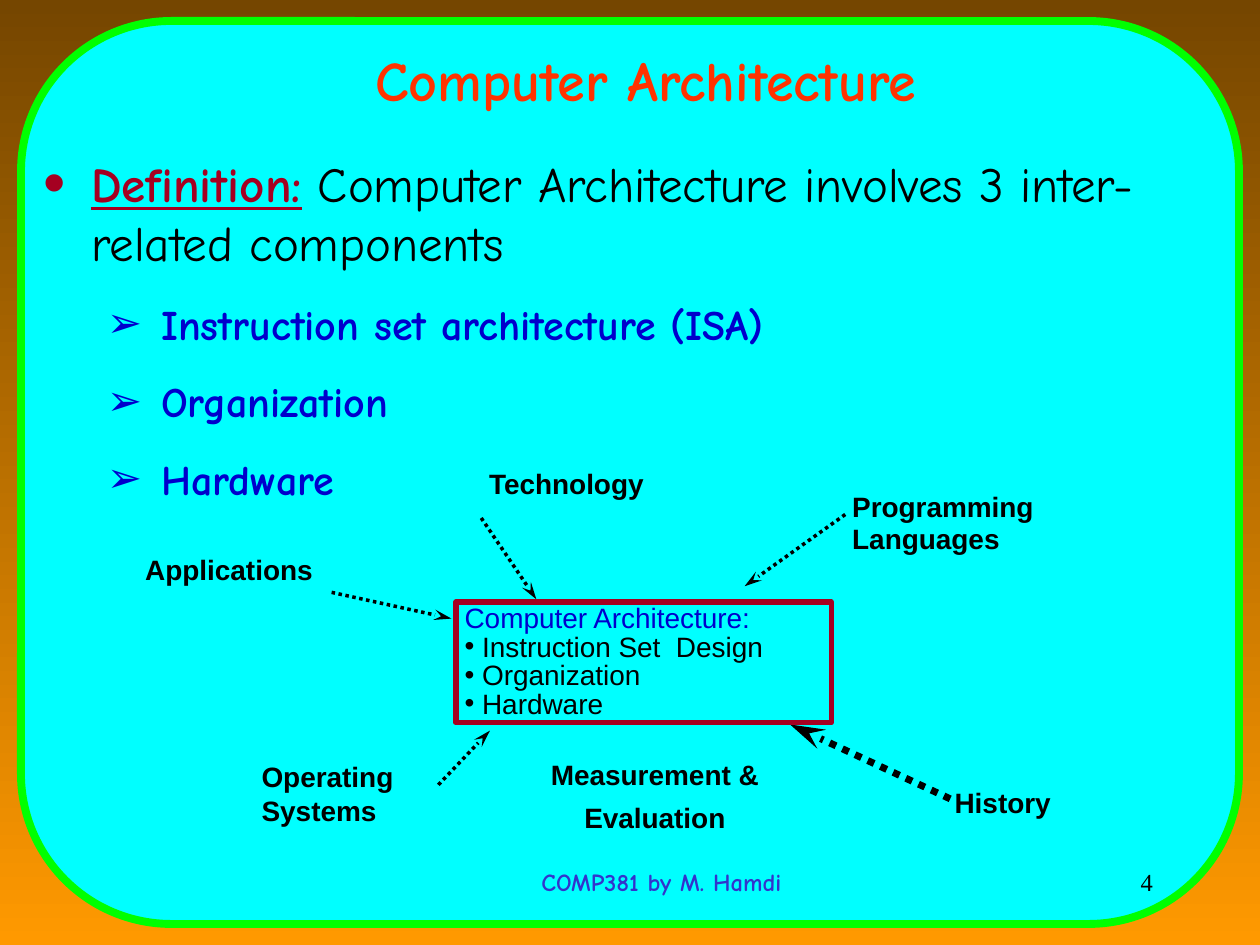
"""Build the Computer Architecture definition slide."""
from lxml import etree
from pptx import Presentation
from pptx.dml.color import RGBColor
from pptx.enum.dml import MSO_LINE
from pptx.enum.shapes import MSO_CONNECTOR, MSO_SHAPE
from pptx.enum.text import MSO_ANCHOR, MSO_AUTO_SIZE, PP_ALIGN
from pptx.oxml.ns import qn
from pptx.util import Pt

LEFT, CENTER, RIGHT = PP_ALIGN.LEFT, PP_ALIGN.CENTER, PP_ALIGN.RIGHT
TOP, MIDDLE = MSO_ANCHOR.TOP, MSO_ANCHOR.MIDDLE
FIT_SHAPE, FIXED = MSO_AUTO_SIZE.SHAPE_TO_FIT_TEXT, MSO_AUTO_SIZE.NONE
STRAIGHT, DOTTED = MSO_CONNECTOR.STRAIGHT, MSO_LINE.ROUND_DOT
PANEL, RECTANGLE = MSO_SHAPE.FLOWCHART_ALTERNATE_PROCESS, MSO_SHAPE.RECTANGLE

BROWN = RGBColor(0x75, 0x46, 0x00)
ORANGE = RGBColor(0xFF, 0x99, 0x00)
CYAN = RGBColor(0x00, 0xFF, 0xFF)
GREEN = RGBColor(0x00, 0xFF, 0x00)
RED = RGBColor(0xFF, 0x33, 0x00)
CRIMSON = RGBColor(0xA5, 0x00, 0x21)
BLUE = RGBColor(0x00, 0x00, 0xCC)
INDIGO = RGBColor(0x33, 0x33, 0xCC)
BLACK = RGBColor(0x00, 0x00, 0x00)

COMIC, ARIAL, TIMES = "Comic Neue", "Arial", "Times New Roman"
WIDE_INSETS, NARROW_INSETS = (7.2, 3.6), (5, 2.2)

TITLE = "Computer Architecture"
FOOTER = "COMP381 by M. Hamdi"
PAGE_NUMBER = "4"
TERM = "Definition:"
DEFINITION = " Computer Architecture involves 3 inter-related components"
COMPONENTS = ["Instruction set architecture (ISA)", "Organization", "Hardware"]
CORE_HEADING = "Computer Architecture:"
CORE_ITEMS = ["Instruction Set  Design", "Organization", "Hardware"]
MEASUREMENT = ["Measurement &", "Evaluation"]
LABELS = [
    ("Technology", 274.5, 264, 99, 1.02),
    ("Programming", 482, 277, 114, 1.02),
    ("Languages", 482, 295.5, 95, 1.02),
    ("Operating", 144.5, 431.5, 86, 1.02),
    ("Systems", 144.5, 451, 76, 1.02),
    ("History", 540.5, 448, 65, 0.97),
    ("Applications", 78, 313, 106, 1.02),
]
ARROWS = [
    ((189.5, 338.5), (258, 353.5), 2),
    ((250.5, 448.5), (280, 417.5), 2),
    ((275, 296), (306.5, 342.5), 2),
    ((483, 294), (425.5, 335), 2),
    ((543, 456.5), (451.5, 414), 4),
]


def set_frame(box, insets, anchor=TOP, wrap=True):
    frame = box.text_frame
    frame.word_wrap = wrap
    frame.auto_size = FIXED if wrap else FIT_SHAPE
    frame.vertical_anchor = anchor
    frame.margin_left = frame.margin_right = Pt(insets[0])
    frame.margin_top = frame.margin_bottom = Pt(insets[1])
    return frame


def add_box(page, place, insets, **options):
    box = page.shapes.add_textbox(*map(Pt, place))
    return set_frame(box, insets, **options)


def add_para(frame, align=LEFT, before=0, spacing=1.0):
    first = frame.paragraphs[0]
    is_first = not first.runs
    para = first if is_first else frame.add_paragraph()
    para.alignment = align
    para.line_spacing = spacing
    para.space_before = Pt(0 if is_first else before)
    return para


def add_span(para, text, font, size, color, bold=False, underline=False):
    span = para.add_run()
    span.text = text
    span.font.name = font
    span.font.size = Pt(size)
    span.font.color.rgb = color
    span.font.bold = bold
    span.font.underline = underline


def add_bullet(para, symbol, color, margin, hang, percent=100):
    properties = para._p.get_or_add_pPr()
    properties.set("marL", str(Pt(margin)))
    properties.set("indent", str(-Pt(hang)))
    tint = etree.SubElement(properties, qn("a:buClr"))
    etree.SubElement(tint, qn("a:srgbClr"), val=str(color))
    etree.SubElement(properties, qn("a:buSzPct"), val=str(percent * 1000))
    etree.SubElement(properties, qn("a:buFont"), typeface=ARIAL)
    etree.SubElement(properties, qn("a:buChar"), char=symbol)


def add_shape(page, kind, place, line_color, line_width, fill=None):
    shape = page.shapes.add_shape(kind, *map(Pt, place))
    shape.shadow.inherit = False
    if fill is None:
        shape.fill.background()
    else:
        shape.fill.solid()
        shape.fill.fore_color.rgb = fill
    shape.line.color.rgb = line_color
    shape.line.width = Pt(line_width)
    return shape


def add_arrow(page, start, end, width):
    arrow = page.shapes.add_connector(STRAIGHT, *map(Pt, start + end))
    arrow.line.color.rgb = BLACK
    arrow.line.width = Pt(width)
    arrow.line.dash_style = DOTTED
    outline = arrow.line._get_or_add_ln()
    etree.SubElement(outline, qn("a:tailEnd"), type="stealth", w="med", len="lg")
    etree.SubElement(arrow._element.spPr, qn("a:effectLst"))


def add_backdrop(page):
    fill = page.background.fill
    fill.gradient()
    fill.gradient_angle = 270
    for stop, color in zip(fill.gradient_stops, (BROWN, ORANGE)):
        stop.color.rgb = color
    add_shape(page, PANEL, (12, 12, 696, 516), GREEN, 4.5, CYAN)


def add_text(page):
    footer = add_box(page, (264, 492, 228, 36), WIDE_INSETS)
    add_span(add_para(footer, CENTER), FOOTER, COMIC, 14, INDIGO, True)
    title = add_box(page, (30, 24, 678, 42), WIDE_INSETS, anchor=MIDDLE)
    add_span(add_para(title, CENTER), TITLE, COMIC, 32, RED, True)
    number = add_box(page, (516, 492, 150, 36), WIDE_INSETS)
    add_span(add_para(number, RIGHT), PAGE_NUMBER, TIMES, 14, BLACK)

    body = add_box(page, (18, 84, 685, 384), WIDE_INSETS)
    para = add_para(body)
    add_bullet(para, "•", CRIMSON, 27, 27, 130)
    add_span(para, TERM, COMIC, 28, CRIMSON, True, True)
    add_span(para, DEFINITION, COMIC, 28, BLACK)
    for component in COMPONENTS:
        para = add_para(body, before=15.5)
        add_bullet(para, "➢", BLUE, 67, 31)
        add_span(para, component, COMIC, 24, BLUE, True)


def add_diagram(page):
    for text, left, top, width, spacing in LABELS:
        label = add_box(page, (left, top, width, 24), NARROW_INSETS, wrap=False)
        add_span(add_para(label, spacing=spacing), text, ARIAL, 16, BLACK, True)
    for start, end, width in ARROWS:
        add_arrow(page, start, end, width)

    measurement = add_box(page, (273.5, 433.5, 201.5, 45), NARROW_INSETS)
    for text in MEASUREMENT:
        para = add_para(measurement, CENTER, before=8, spacing=0.86)
        add_span(para, text, ARIAL, 16, BLACK, True)

    core = add_shape(page, RECTANGLE, (260.5, 344, 214.5, 69), CRIMSON, 3)
    frame = set_frame(core, NARROW_INSETS)
    add_span(add_para(frame, spacing=0.85), CORE_HEADING, ARIAL, 16, BLUE)
    for item in CORE_ITEMS:
        para = add_para(frame, spacing=0.85)
        add_bullet(para, "•", BLACK, 10, 10)
        add_span(para, item, ARIAL, 16, BLACK)


def main():
    deck = Presentation()
    deck.slide_width, deck.slide_height = Pt(720), Pt(540)
    page = deck.slides.add_slide(deck.slide_layouts[6])
    add_backdrop(page)
    add_text(page)
    add_diagram(page)
    deck.save("out.pptx")


if __name__ == "__main__":
    main()
